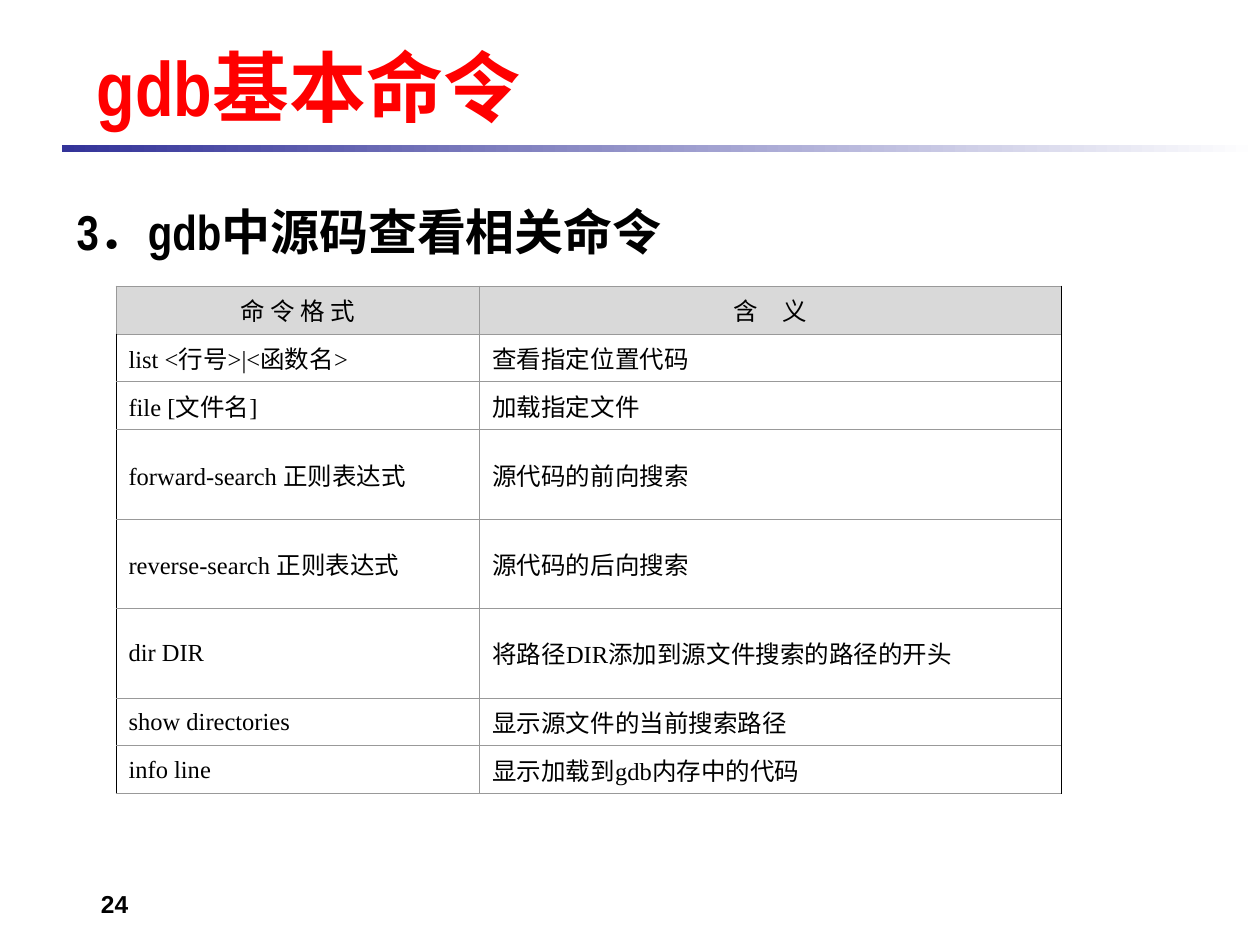
from lxml import etree
from pptx import Presentation
from pptx.dml.color import RGBColor
from pptx.enum.shapes import MSO_SHAPE
from pptx.enum.text import MSO_ANCHOR, PP_ALIGN
from pptx.oxml.ns import qn
from pptx.util import Inches, Pt

RECT = MSO_SHAPE.RECTANGLE
TOP, MIDDLE = MSO_ANCHOR.TOP, MSO_ANCHOR.MIDDLE
LEFT, CENTER = PP_ALIGN.LEFT, PP_ALIGN.CENTER

NAVY = RGBColor(0x33, 0x33, 0x99)
WHITE = RGBColor(0xFF, 0xFF, 0xFF)
BLACK = RGBColor(0x00, 0x00, 0x00)
RED = RGBColor(0xFF, 0x00, 0x00)
GREY = RGBColor(0x99, 0x99, 0x99)
HEADER_GREY = RGBColor(0xD9, 0xD9, 0xD9)

COMMANDS = [
    ("命 令 格 式", "含　义"),
    ("list <行号>|<函数名>", "查看指定位置代码"),
    ("file [文件名]", "加载指定文件"),
    ("forward-search 正则表达式", "源代码的前向搜索"),
    ("reverse-search 正则表达式", "源代码的后向搜索"),
    ("dir DIR", "将路径DIR添加到源文件搜索的路径的开头"),
    ("show directories", "显示源文件的当前搜索路径"),
    ("info line", "显示加载到gdb内存中的代码"),
]
TALL_ROWS = (3, 4, 5)
ROW_HEIGHT, TALL_HEIGHT = 0.38, 0.71
COLUMN_SHARES = (0.385, 0.615)


def inches(box):
    return [Inches(v) for v in box]


def write(tf, text, font, size, color, bold=False, align=LEFT):
    tf.text = text
    p = tf.paragraphs[0]
    p.alignment = align
    f = p.runs[0].font
    f.name, f.size, f.bold = font, Pt(size), bold
    f.color.rgb = color


def add_label(s, box, text, font, size, color, align=LEFT, anchor=TOP):
    tf = s.shapes.add_textbox(*inches(box)).text_frame
    tf.word_wrap = True
    tf.vertical_anchor = anchor
    write(tf, text, font, size, color, True, align)


def add_title_rule(s, box):
    """Bar under the title, fading from navy to white."""
    sp = s.shapes.add_shape(RECT, *inches(box))
    sp.shadow.inherit = False
    sp.line.fill.background()
    sp.fill.gradient()
    sp.fill.gradient_angle = 0
    for stop, color in zip(sp.fill.gradient_stops, (NAVY, WHITE)):
        stop.color.rgb = color


def set_borders(cell, left, right):
    tc_pr = cell._tc.get_or_add_tcPr()
    sides = (("a:lnL", left), ("a:lnR", right), ("a:lnT", GREY), ("a:lnB", GREY))
    for i, (tag, color) in enumerate(sides):
        ln = etree.Element(qn(tag), w=str(Pt(0.34 if color == BLACK else 0.45)))
        fill = etree.SubElement(ln, qn("a:solidFill"))
        etree.SubElement(fill, qn("a:srgbClr"), val=str(color))
        tc_pr.insert(i, ln)


def add_command_table(s, box):
    shape = s.shapes.add_table(len(COMMANDS), len(COLUMN_SHARES), *inches(box))
    table = shape.table
    for column, share in zip(table.columns, COLUMN_SHARES):
        column.width = Inches(box[2] * share)
    for i, texts in enumerate(COMMANDS):
        header = i == 0
        table.rows[i].height = Inches(TALL_HEIGHT if i in TALL_ROWS else ROW_HEIGHT)
        for j, text in enumerate(texts):
            cell = table.cell(i, j)
            cell.vertical_anchor = MIDDLE
            cell.fill.solid()
            cell.fill.fore_color.rgb = HEADER_GREY if header else WHITE
            write(cell.text_frame, text, "Times New Roman", 14, BLACK,
                  align=CENTER if header else LEFT)
            set_borders(cell, GREY if header or j else BLACK, BLACK if j else GREY)


def main():
    prs = Presentation()
    prs.slide_width, prs.slide_height = Inches(10), Inches(7.5)
    s = prs.slides.add_slide(prs.slide_layouts[6])
    add_title_rule(s, (0.49, 1.15, 9.51, 0.06))
    add_label(s, (0.2, 7.01, 1.42, 0.4), "24", "Arial", 14, BLACK, CENTER)
    add_label(s, (0.67, 0.21, 8.58, 0.94), "gdb基本命令", "Arial Narrow", 44, RED,
              anchor=MIDDLE)
    add_label(s, (0.51, 1.55, 9.06, 0.65), "3．gdb中源码查看相关命令",
              "Arial Narrow", 28, BLACK)
    add_command_table(s, (0.92, 2.27, 7.5, 4))
    prs.save("out.pptx")


if __name__ == "__main__":
    main()
